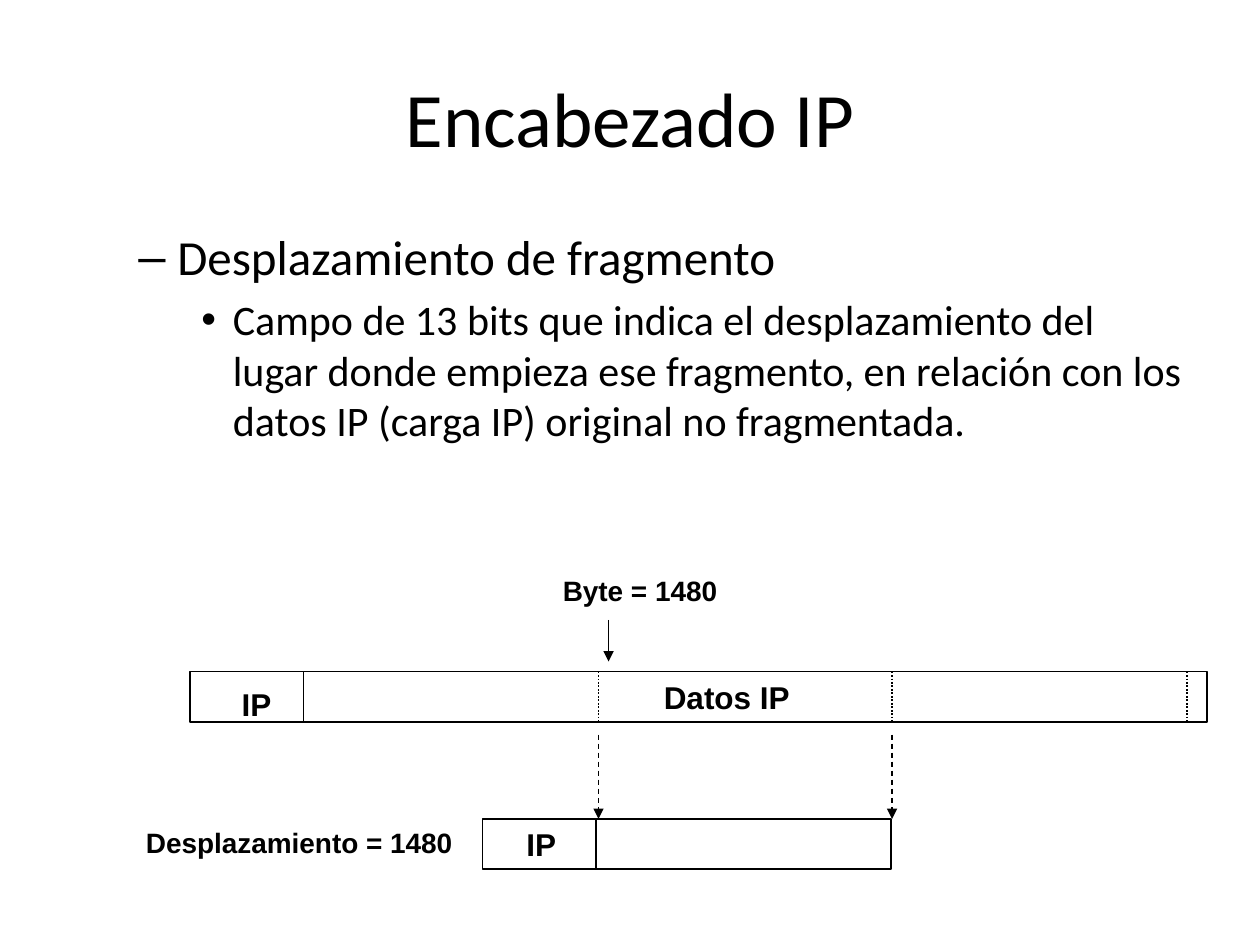
import pptx
import pptx.util
import pptx.dml.color
import pptx.enum.dml
import pptx.enum.shapes
import pptx.enum.text
import pptx.oxml.ns
from lxml import etree

Inches = pptx.util.Inches
Pt = pptx.util.Pt
ALIGN = pptx.enum.text.PP_ALIGN
DASH = pptx.enum.dml.MSO_LINE

BLACK = pptx.dml.color.RGBColor(0, 0, 0)
WHITE = pptx.dml.color.RGBColor(255, 255, 255)

BAR_HEIGHT = 0.4
HEADER_WIDTH = 0.9
HEADER_LABEL_WIDTH = 0.45
PACKET_TOP = 5.33
FRAGMENT_TOP = 6.5
FRAGMENT_EDGES = (4.75, 7.08, 9.42)


def add_run(paragraph, text, size, font="Arial", bold=False):
    run = paragraph.add_run()
    run.text = text
    run.font.size = Pt(size)
    run.font.name = font
    run.font.bold = bold
    run.font.color.rgb = BLACK


def add_title(slide, text):
    title = slide.shapes.title
    title.left, title.top = Inches(0.5), Inches(0.3)
    title.width, title.height = Inches(9), Inches(1.25)
    title.text_frame.vertical_anchor = pptx.enum.text.MSO_ANCHOR.MIDDLE
    paragraph = title.text_frame.paragraphs[0]
    paragraph.alignment = ALIGN.CENTER
    add_run(paragraph, text, 44, "Calibri")


def add_bullet(paragraph, text, level, character, size, margin, indent):
    paragraph.level = level
    paragraph.space_before = Pt(size * 0.2)
    properties = paragraph._p.get_or_add_pPr()
    properties.set("marL", str(Inches(margin)))
    properties.set("indent", str(Inches(indent)))
    font = etree.SubElement(properties, pptx.oxml.ns.qn("a:buFont"))
    font.set("typeface", "Arial")
    bullet = etree.SubElement(properties, pptx.oxml.ns.qn("a:buChar"))
    bullet.set("char", character)
    add_run(paragraph, text, size, "Calibri")


def add_body(slide):
    box = slide.shapes.add_textbox(Inches(0.5), Inches(1.75), Inches(9), Inches(4.95))
    frame = box.text_frame
    frame.word_wrap = True
    add_bullet(frame.paragraphs[0], "Desplazamiento de fragmento", 1, "–", 28, 0.81, -0.31)
    add_bullet(
        frame.add_paragraph(),
        "Campo de 13 bits que indica el desplazamiento del lugar donde empieza "
        "ese fragmento, en relación con los datos IP (carga IP) original no fragmentada.",
        2, "•", 24, 1.25, -0.25,
    )


def add_bar(slide, left, top, width, fill=WHITE):
    bar = slide.shapes.add_shape(
        pptx.enum.shapes.MSO_SHAPE.RECTANGLE,
        Inches(left), Inches(top), Inches(width), Inches(BAR_HEIGHT),
    )
    bar.shadow.inherit = False
    if fill is None:
        bar.fill.background()
    else:
        bar.fill.solid()
        bar.fill.fore_color.rgb = fill
    bar.line.color.rgb = BLACK
    bar.line.width = Pt(1)


def add_label(slide, text, left, top, width, height=BAR_HEIGHT, size=18,
              alignment=ALIGN.LEFT, wrap=False):
    box = slide.shapes.add_textbox(Inches(left), Inches(top), Inches(width), Inches(height))
    frame = box.text_frame
    frame.word_wrap = wrap
    frame.auto_size = pptx.enum.text.MSO_AUTO_SIZE.SHAPE_TO_FIT_TEXT
    paragraph = frame.paragraphs[0]
    paragraph.alignment = alignment
    add_run(paragraph, text, size, bold=True)


def add_caption(slide, text, left, top, width):
    add_label(slide, text, left, top, width, 0.36, 16, ALIGN.CENTER, True)


def add_vertical_line(slide, x, top, bottom, width, dash=None, arrow=False):
    line = slide.shapes.add_connector(
        pptx.enum.shapes.MSO_CONNECTOR.STRAIGHT,
        Inches(x), Inches(top), Inches(x), Inches(bottom),
    )
    line.line.color.rgb = BLACK
    line.line.width = Pt(width)
    if dash is not None:
        line.line.dash_style = dash
    if arrow:
        tail = etree.SubElement(line.line._get_or_add_ln(), pptx.oxml.ns.qn("a:tailEnd"))
        tail.set("type", "triangle")
    etree.SubElement(line._element.spPr, pptx.oxml.ns.qn("a:effectLst"))


def add_packet(slide):
    add_bar(slide, 2.09, PACKET_TOP, 7.49, fill=None)
    add_bar(slide, 1.51, PACKET_TOP, HEADER_WIDTH)
    add_label(slide, "IP", 1.82, 5.39, HEADER_LABEL_WIDTH)
    add_label(slide, "Datos IP", 5.17, PACKET_TOP, 1.2)
    for x in FRAGMENT_EDGES:
        add_vertical_line(slide, x, PACKET_TOP, PACKET_TOP + BAR_HEIGHT, 1, DASH.ROUND_DOT)


def add_fragment(slide):
    add_bar(slide, 4.42, FRAGMENT_TOP, 2.65)
    add_bar(slide, 3.83, FRAGMENT_TOP, HEADER_WIDTH)
    add_label(slide, "IP", 4.08, FRAGMENT_TOP, HEADER_LABEL_WIDTH)
    add_caption(slide, "Byte = 1480", 4.08, 4.5, 2)
    add_vertical_line(slide, 4.83, 4.92, 5.25, 0.75, arrow=True)
    for x in FRAGMENT_EDGES[:2]:
        add_vertical_line(slide, x, 5.83, FRAGMENT_TOP, 0.75, DASH.DASH, arrow=True)
    add_caption(slide, "Desplazamiento = 1480", 1, FRAGMENT_TOP, 2.75)


def main():
    presentation = pptx.Presentation()
    presentation.slide_width = Inches(10)
    presentation.slide_height = Inches(7.5)
    slide = presentation.slides.add_slide(presentation.slide_layouts[5])
    add_title(slide, "Encabezado IP")
    add_body(slide)
    add_packet(slide)
    add_fragment(slide)
    presentation.save("out.pptx")


if __name__ == "__main__":
    main()
